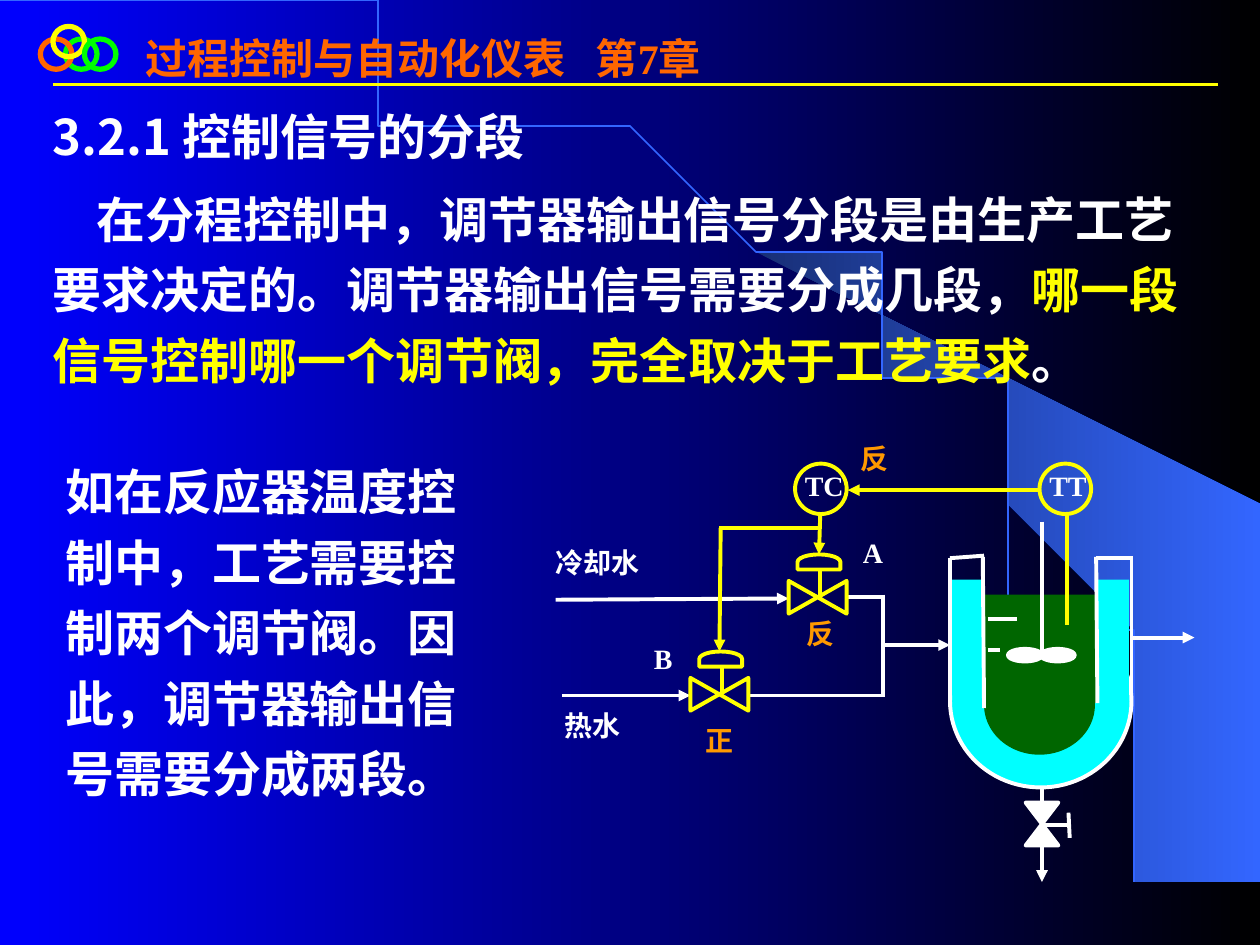
from lxml.etree import SubElement
from pptx import Presentation
from pptx.dml.color import RGBColor
from pptx.enum.shapes import MSO_CONNECTOR, MSO_SHAPE
from pptx.enum.text import MSO_ANCHOR
from pptx.oxml.ns import qn
from pptx.util import Inches, Pt

WHITE, YELLOW, ORANGE, CYAN, GREEN = "FFFFFF", "FFFF00", "FF9900", "00FFFF", "006600"
SERIF, SANS = "Times New Roman", "Noto Sans CJK SC"
OVAL, BOX = MSO_SHAPE.OVAL, MSO_SHAPE.RECTANGLE

TITLE = [[("过程控制与自动化仪表\t第7章", "FF6600")]]
BODY = [
    [("3.2.1 控制信号的分段", WHITE)],
    [("在分程控制中，调节器输出信号分段是由生产工艺要求决定的。调节器输出信号需要分成几段，", WHITE),
     ("哪一段信号控制哪一个调节阀，完全取决于工艺要求", YELLOW), ("。", WHITE)],
]
EXAMPLE = [[("如在反应器温度控制中，工艺需要控制两个调节阀。因此，调节器输出信号需要分成两段。", WHITE)]]

BEAM = [(9.2, 7.48), (9.99, 7.49), (9.99, 4.23), (5.89, 1.73), (6.24, 1.99), (6.53, 2.22),
        (6.85, 2.5), (7.16, 2.8), (7.62, 3.3), (8.03, 3.84), (8.32, 4.31), (8.58, 4.79),
        (8.78, 5.28), (8.93, 5.72), (9.03, 6.09), (9.13, 6.56), (9.17, 6.96)]
ARC_CONTROLS = [(0, 0), (5.08, 0), (9.2, 3.35), (9.2, 7.49)]
ARC_STEPS = 60

RINGS = [(0.52, 0.31, "00FF00"), (0.32, 0.31, "FF6600"), (0.42, 0.21, YELLOW), (0.67, 0.31, "00FF00")]

VESSEL = [
    (OVAL, 7.54, 4.88, 1.44, 1.37, CYAN, WHITE),
    (OVAL, 7.81, 5.2, 0.88, 0.79, GREEN, None),
    (BOX, 7.8, 4.72, 0.91, 0.86, GREEN, None),
    (BOX, 7.54, 4.6, 0.26, 0.92, CYAN, None),
    (BOX, 8.7, 4.6, 0.26, 0.92, CYAN, None),
    (OVAL, 8, 5.15, 0.27, 0.1, WHITE, WHITE),
    (OVAL, 8.26, 5.15, 0.27, 0.1, WHITE, WHITE),
]
VESSEL_LINES = [
    (7.54, 4.43, 7.54, 5.6), (7.8, 4.42, 7.81, 5.62), (8.7, 4.42, 8.71, 5.58),
    (8.98, 4.42, 8.98, 5.59), (7.54, 4.43, 7.81, 4.41), (8.7, 4.43, 8.99, 4.43),
    (8.27, 4.14, 8.27, 5.2), (7.84, 4.91, 8.07, 4.91), (7.84, 5.16, 7.94, 5.16),
    (8.27, 6.55, 8.48, 6.55), (8.48, 6.45, 8.49, 6.65),
]
PIPES = [(7.01, 4.72, 7.01, 5.53), (5.94, 5.52, 7.02, 5.52), (6.71, 4.74, 7.02, 4.74)]
FLOWS = [(8.27, 6.25, 8.27, 7), (7.01, 5.12, 7.54, 5.12), (8.97, 5.06, 9.48, 5.06),
         (4.41, 4.76, 6.26, 4.75), (4.46, 5.52, 5.48, 5.52)]
SIGNAL_WIRES = [(8.47, 4.09, 8.47, 4.96), (5.71, 4.19, 6.5, 4.19)]
SIGNALS = [(8.24, 3.89, 6.73, 3.89), (6.51, 4.08, 6.5, 4.4), (5.72, 4.19, 5.71, 5.17)]
CONTROL_VALVES = [(6.36, 4.51), (5.58, 5.28)]
INSTRUMENTS = [("TC", 6.31), ("TT", 8.25)]
LABELS = [
    ("冷却水", 4.31, 4.23, 1.19, WHITE), ("热水", 4.38, 5.52, 0.99, WHITE),
    ("A", 6.75, 4.15, 0.61, WHITE), ("B", 5.09, 4.99, 0.61, WHITE),
    ("反", 6.73, 3.4, 0.44, ORANGE), ("反", 6.3, 4.79, 0.44, ORANGE), ("正", 5.5, 5.64, 0.44, ORANGE),
]


def color(value):
    return RGBColor.from_string(value)


def paint_gradient(fill, start, end):
    fill.gradient()
    fill.gradient_angle = 0
    for stop, value in zip(fill.gradient_stops, (start, end)):
        stop.color.rgb = color(value)


def style_shape(shape, fill, line, width):
    shape.shadow.inherit = False
    if fill:
        shape.fill.solid()
        shape.fill.fore_color.rgb = color(fill)
    else:
        shape.fill.background()
    if line:
        shape.line.color.rgb = color(line)
        shape.line.width = Pt(width)
    else:
        shape.line.fill.background()
    return shape


def add_shape(slide, kind, left, top, width, height, fill=None, line=None, weight=2.25, rotation=0):
    shape = slide.shapes.add_shape(kind, Inches(left), Inches(top), Inches(width), Inches(height))
    shape.rotation = rotation
    return style_shape(shape, fill, line, weight)


def add_outline(slide, points, closed):
    builder = slide.shapes.build_freeform(*points[0], scale=Inches(1))
    builder.add_line_segments(points[1:], close=closed)
    return style_shape(builder.convert_to_shape(), None, None, 0)


def add_line(slide, ends, line, weight=2.25, arrow=False):
    connector = slide.shapes.add_connector(MSO_CONNECTOR.STRAIGHT, *map(Inches, ends))
    connector.line.color.rgb = color(line)
    connector.line.width = Pt(weight)
    if arrow:
        SubElement(connector.line._get_or_add_ln(), qn("a:tailEnd"), type="triangle")
    SubElement(connector._element.spPr, qn("a:effectLst"))


def add_text(slide, paragraphs, left, top, width, height, size, font=SERIF, anchor=MSO_ANCHOR.TOP,
             spacing=1.2, before=0, indent=0, tab=None):
    frame = slide.shapes.add_textbox(*map(Inches, (left, top, width, height))).text_frame
    frame.word_wrap = True
    frame.vertical_anchor = anchor
    for index, runs in enumerate(paragraphs):
        paragraph = frame.add_paragraph() if index else frame.paragraphs[0]
        paragraph.line_spacing = spacing
        properties = paragraph._p.get_or_add_pPr()
        if index:
            paragraph.space_before = Pt(before)
            properties.set("indent", str(Inches(indent)))
        if tab:
            tabs = SubElement(properties, qn("a:tabLst"))
            SubElement(tabs, qn("a:tab"), pos=str(Inches(tab)), algn="l")
        for text, value in runs:
            run = paragraph.add_run()
            run.text = text
            for name, setting in {"name": font, "size": Pt(size), "bold": True}.items():
                setattr(run.font, name, setting)
            run.font.color.rgb = color(value)
            SubElement(run._r.get_or_add_rPr(), qn("a:ea"), typeface=SANS)


def arc_point(t):
    weights = ((1 - t) ** 3, 3 * t * (1 - t) ** 2, 3 * t ** 2 * (1 - t), t ** 3)
    return tuple(sum(w * p[axis] for w, p in zip(weights, ARC_CONTROLS)) for axis in (0, 1))


def draw_background(slide):
    paint_gradient(slide.background.fill, "0000FF", "000000")
    paint_gradient(add_outline(slide, BEAM, True).fill, "182F76", "3366FF")
    arc = add_outline(slide, [arc_point(step / ARC_STEPS) for step in range(ARC_STEPS + 1)], False)
    style_shape(arc, None, "3366FF", 1)
    add_line(slide, (0.42, 0.67, 9.67, 0.67), YELLOW, 1.5)
    for left, top, line in RINGS:
        add_shape(slide, OVAL, left, top, 0.25, 0.24, line=line, weight=3)


def draw_process(slide):
    for kind, left, top, width, height, fill, line in VESSEL:
        add_shape(slide, kind, left, top, width, height, fill, line)
    for lines, line, arrow in ((VESSEL_LINES + PIPES, WHITE, False), (FLOWS, WHITE, True),
                               (SIGNAL_WIRES, YELLOW, False), (SIGNALS, YELLOW, True)):
        for ends in lines:
            add_line(slide, ends, line, arrow=arrow)
    add_shape(slide, MSO_SHAPE.FLOWCHART_COLLATE, 8.14, 6.37, 0.26, 0.34, WHITE, WHITE)
    for left, top in CONTROL_VALVES:
        add_shape(slide, MSO_SHAPE.FLOWCHART_COLLATE, left, top, 0.26, 0.46, line=YELLOW, rotation=270)
        add_shape(slide, MSO_SHAPE.FLOWCHART_DELAY, left + 0.08, top - 0.22, 0.12, 0.34,
                  line=YELLOW, rotation=270)
        add_line(slide, (left + 0.15, top + 0.02, left + 0.15, top + 0.23), YELLOW)
    for name, left in INSTRUMENTS:
        add_shape(slide, OVAL, left, 3.68, 0.41, 0.4, line=YELLOW)
        add_text(slide, [[(name, WHITE)]], left - 0.02, 3.62, 0.73, 0.37, 16)
    for text, left, top, width, value in LABELS:
        add_text(slide, [[(text, value)]], left, top, width, 0.42, 16)


def main():
    presentation = Presentation()
    presentation.slide_width, presentation.slide_height = Inches(10), Inches(7.5)
    slide = presentation.slides.add_slide(presentation.slide_layouts[6])
    draw_background(slide)
    add_text(slide, TITLE, 1.06, 0.21, 8.42, 0.5, 24, spacing=1, tab=3.57)
    add_text(slide, BODY, 0.32, 0.7, 9.4, 2.44, 28, SANS, MSO_ANCHOR.MIDDLE, before=7, indent=0.35)
    add_text(slide, EXAMPLE, 0.42, 3.52, 3.59, 2.9, 28, anchor=MSO_ANCHOR.MIDDLE)
    draw_process(slide)
    presentation.save("out.pptx")


if __name__ == "__main__":
    main()
